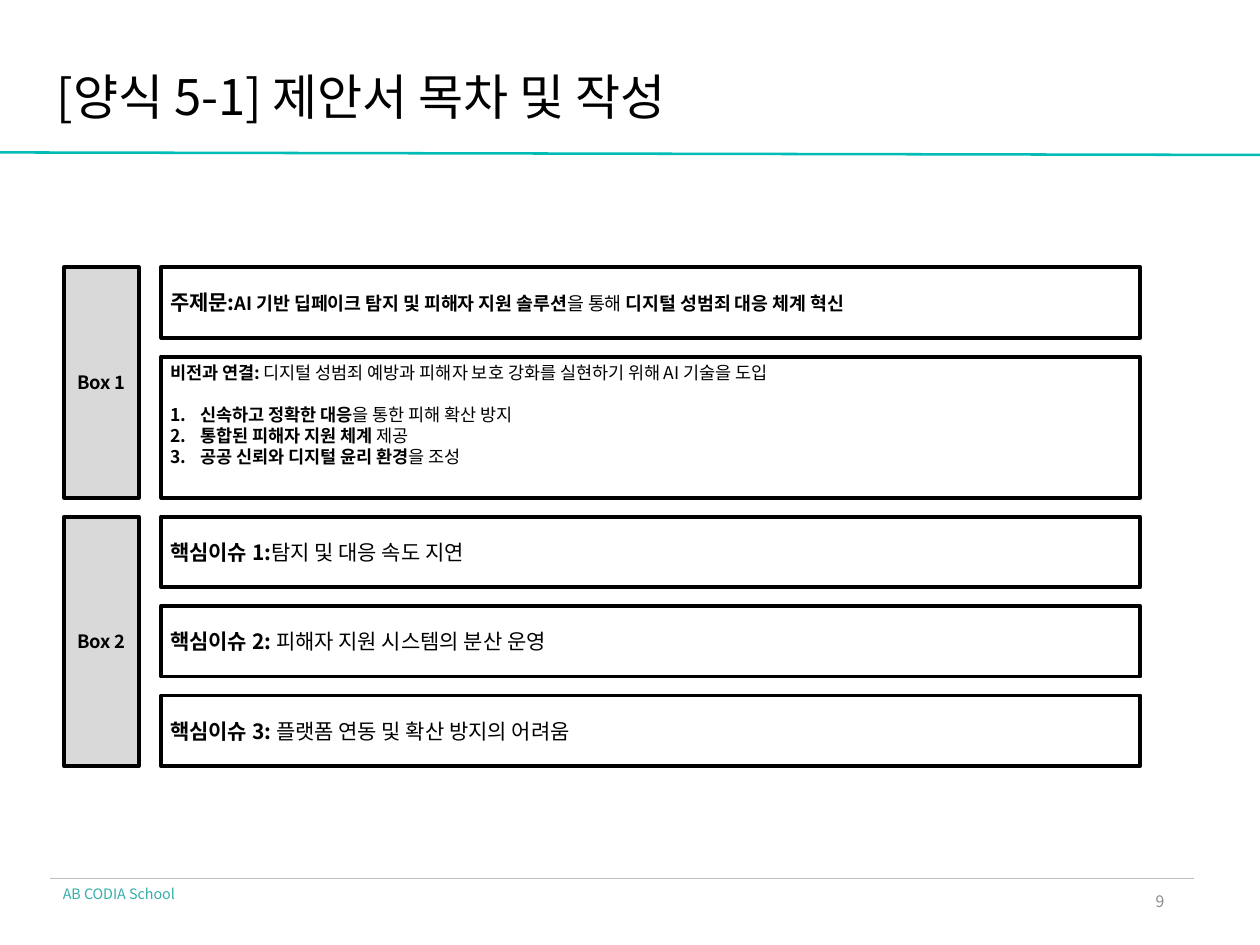
from lxml import etree
from pptx import Presentation
from pptx import util as u
from pptx.dml.color import RGBColor
from pptx.enum import shapes, text
from pptx.oxml.ns import qn

FONT = "Noto Sans CJK KR"
BLACK, TEAL = "000000", "01BCB6"
LEFT, CENTER, RIGHT = text.PP_ALIGN.LEFT, text.PP_ALIGN.CENTER, text.PP_ALIGN.RIGHT
TOP, MIDDLE = text.MSO_ANCHOR.TOP, text.MSO_ANCHOR.MIDDLE

LABEL_LEFT, LABEL_WIDTH = 0.51, 0.59
ROW_LEFT, ROW_WIDTH = 1.28, 7.77
FIRST_TOP, GAP = 2.12, 0.15

# Each group: label, rows of (height, paragraphs); each run: text, bold, size
GROUPS = [
    ("Box 1", [
        (0.56, [[("주제문:", True, 12),
                 ("AI 기반 딥페이크 탐지 및 피해자 지원 솔루션", True, 10.5),
                 ("을 통해 ", False, 10.5),
                 ("디지털 성범죄 대응 체계 혁신", True, 10.5)]]),
        (1.12, [[("비전과 연결: ", True, 10),
                 ("디지털 성범죄 예방과 피해자 보호 강화를 실현하기 위해 AI 기술을 도입", False, 10)],
                [("신속하고 정확한 대응", True, 10), ("을 통한 피해 확산 방지", False, 10)],
                [("통합된 피해자 지원 체계", True, 10), (" 제공", False, 10)],
                [("공공 신뢰와 디지털 윤리 환경", True, 10), ("을 조성", False, 10)]]),
    ]),
    ("Box 2", [
        (0.56, [[("핵심이슈 1:", True, 12), ("탐지 및 대응 속도 지연", False, 12)]]),
        (0.56, [[("핵심이슈 2: ", True, 12), ("피해자 지원 시스템의 분산 운영", False, 12)]]),
        (0.56, [[("핵심이슈 3: ", True, 12), ("플랫폼 연동 및 확산 방지의 어려움", False, 12)]]),
    ]),
]


def rgb(value):
    return RGBColor.from_string(value)


def write(frame, paragraphs, color=BLACK, align=LEFT, anchor=MIDDLE,
          inset=(0.07, 0.04), wrap=True):
    frame.word_wrap = wrap
    frame.vertical_anchor = anchor
    frame.margin_left = frame.margin_right = u.Inches(inset[0])
    frame.margin_top = frame.margin_bottom = u.Inches(inset[1])
    for index, runs in enumerate(paragraphs):
        paragraph = frame.add_paragraph() if index else frame.paragraphs[0]
        paragraph.alignment = align
        font = paragraph.font
        font.name = FONT
        font.color.rgb = rgb(color)
        east_asian = etree.Element(qn("a:ea"), typeface=FONT)
        paragraph._p.pPr.find(qn("a:defRPr")).find(qn("a:latin")).addnext(east_asian)
        sizes = {size for _, _, size in runs}
        if len(sizes) == 1:
            font.size = u.Pt(runs[0][2])
        for words, bold, size in runs:
            run = paragraph.add_run()
            run.text = words
            run.font.bold = bold
            if len(sizes) > 1:
                run.font.size = u.Pt(size)


def add_label(slide, box, words, size, **style):
    frame = slide.shapes.add_textbox(*map(u.Inches, box)).text_frame
    write(frame, [[(words, False, size)]], **style)


def add_box(slide, box, paragraphs, fill=None, **style):
    shape = slide.shapes.add_shape(shapes.MSO_SHAPE.RECTANGLE, *map(u.Inches, box))
    shape.shadow.inherit = False
    if fill:
        shape.fill.solid()
        shape.fill.fore_color.rgb = rgb(fill)
    else:
        shape.fill.background()
    shape.line.color.rgb = rgb(BLACK)
    shape.line.width = u.Pt(2.25)
    write(shape.text_frame, paragraphs, **style)
    return shape.text_frame


def number_items(paragraphs):
    for paragraph in paragraphs:
        properties = paragraph._p.get_or_add_pPr()
        properties.set("marL", str(u.Inches(0.24)))
        properties.set("indent", str(-u.Inches(0.24)))
        numbering = etree.Element(qn("a:buAutoNum"), type="arabicPeriod")
        properties.find(qn("a:defRPr")).addprevious(numbering)


def add_title_rule(slide):
    builder = slide.shapes.build_freeform(0, u.Inches(1.2), scale=1.0)
    for top in (1.2, 1.21):
        builder.move_to(0, u.Inches(top))
        corners = [(0, top + 0.01), (10, top + 0.03), (10, top + 0.02)]
        builder.add_line_segments([(u.Inches(x), u.Inches(y)) for x, y in corners])
    rule = builder.convert_to_shape()
    rule.shadow.inherit = False
    rule.fill.solid()
    rule.fill.fore_color.rgb = rgb(TEAL)
    rule.line.fill.background()


def add_footer_rule(slide):
    ends = map(u.Inches, (0.4, 6.97, 9.48, 6.97))
    rule = slide.shapes.add_connector(shapes.MSO_CONNECTOR.STRAIGHT, *ends)
    rule.line.color.rgb = rgb("BEBEBE")
    rule.line.width = u.Pt(0.5)
    etree.SubElement(rule._element.spPr, qn("a:effectLst"))


def add_groups(slide):
    top = FIRST_TOP
    for label, rows in GROUPS:
        group_top = top
        for height, paragraphs in rows:
            is_list = len(paragraphs) > 1
            frame = add_box(slide, (ROW_LEFT, top, ROW_WIDTH, height), paragraphs,
                            anchor=TOP if is_list else MIDDLE)
            if is_list:
                for paragraph in frame.paragraphs:
                    paragraph.line_spacing = u.Pt(12)
                frame.paragraphs[1].space_before = u.Pt(12)
                number_items(frame.paragraphs[1:])
            top += height + GAP
        add_box(slide, (LABEL_LEFT, group_top, LABEL_WIDTH, top - GAP - group_top),
                [[(label, True, 10.5)]], fill="D9D9D9", align=CENTER)


def main():
    deck = Presentation()
    deck.slide_width, deck.slide_height = u.Inches(10), u.Inches(7.5)
    slide = deck.slides.add_slide(deck.slide_layouts[6])

    # Frame: rules, page number, footer
    add_title_rule(slide)
    add_footer_rule(slide)
    add_label(slide, (7.06, 6.95, 2.25, 0.4), "9", 9, color="8C8C8C", align=RIGHT)
    add_label(slide, (0.4, 6.98, 1.29, 0.24), "AB CODIA School", 8.2, color="34AEAA",
              anchor=TOP, inset=(0.1, 0.05), wrap=False)

    # Title and content
    add_label(slide, (0.45, 0.53, 9.03, 0.47), "[양식 5-1] 제안서 목차 및 작성", 28,
              inset=(0, 0))
    add_groups(slide)
    deck.save("out.pptx")


if __name__ == "__main__":
    main()
